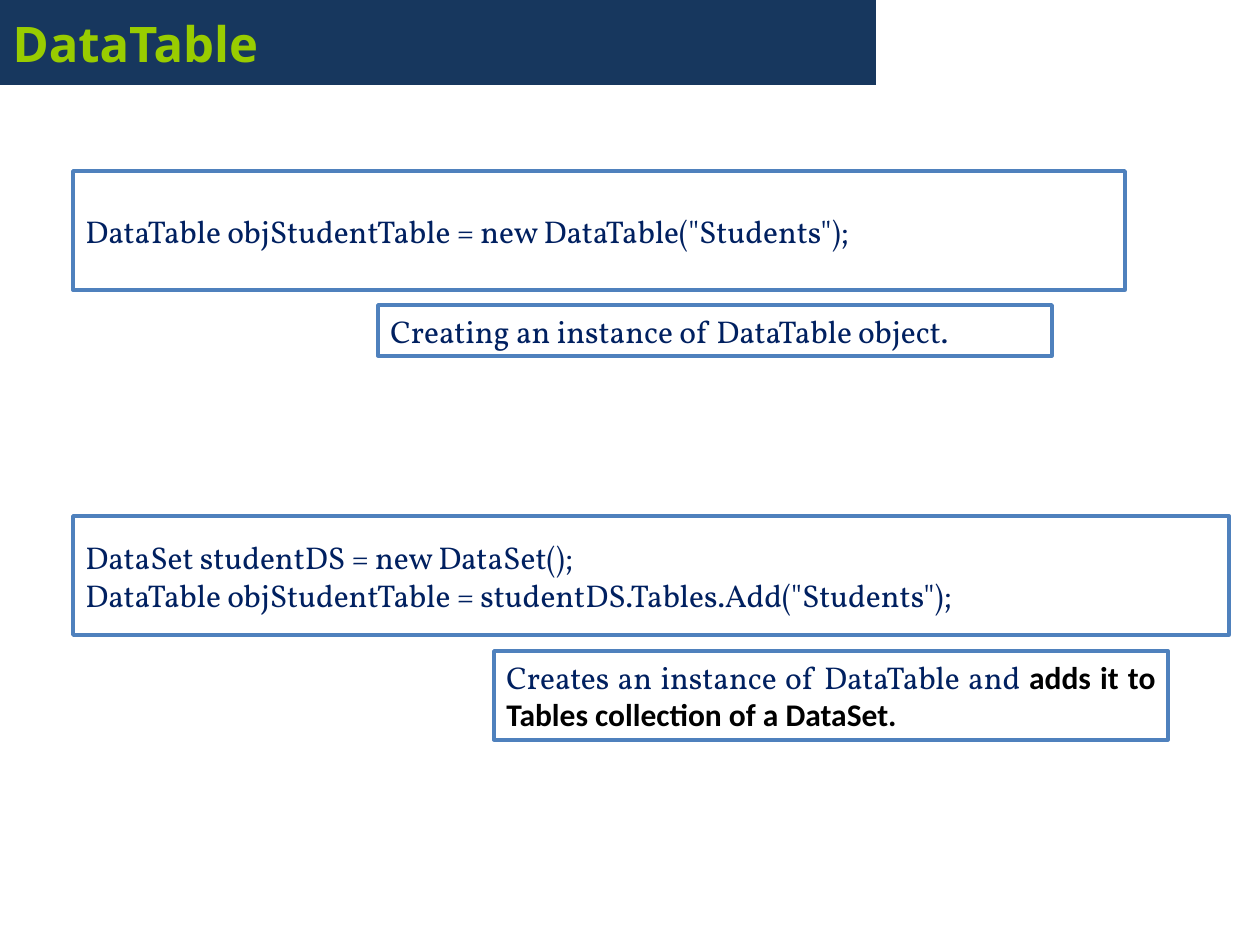
from pptx import Presentation
from pptx.dml.color import RGBColor
from pptx.enum.shapes import MSO_SHAPE
from pptx.enum.text import MSO_ANCHOR, MSO_AUTO_SIZE, PP_ALIGN
from pptx.util import Emu, Pt

RECT = MSO_SHAPE.RECTANGLE
MIDDLE = MSO_ANCHOR.MIDDLE
GROW, FIXED = MSO_AUTO_SIZE.SHAPE_TO_FIT_TEXT, MSO_AUTO_SIZE.NONE
LEFT, JUSTIFY = PP_ALIGN.LEFT, PP_ALIGN.JUSTIFY

COLORS = {
    "banner": "17375E",
    "title": "99CC00",
    "box": "FFFFFF",
    "border": "4F81BD",
    "code": "002060",
    "strong": "000000",
}
RUN_STYLES = {
    "title": ("Open Sans", 28, True),
    "code": ("Vollkorn", 18, False),
    "strong": ("Calibri", 18, True),
}


def px(n):
    return Emu(round(n * 914400 / 126))


def rgb(name):
    return RGBColor.from_string(COLORS[name])


class SlideBuilder:
    def __init__(self, prs):
        self.s = prs.slides.add_slide(prs.slide_layouts[5])

    def run(self, p, text, style):
        r = p.add_run()
        r.text = text
        r.font.name, size, r.font.bold = RUN_STYLES[style]
        r.font.size = Pt(size)
        r.font.color.rgb = rgb(style)

    def fill(self, sp, color):
        sp.fill.solid()
        sp.fill.fore_color.rgb = rgb(color)

    def title(self, text, x, y, w, h):
        sp = self.s.shapes.title
        sp.left, sp.top, sp.width, sp.height = map(px, (x, y, w, h))
        self.fill(sp, "banner")
        tf = sp.text_frame
        tf.auto_size = FIXED
        tf.vertical_anchor = MIDDLE
        p = tf.paragraphs[0]
        p.alignment = LEFT
        self.run(p, text, "title")

    def box(self, paragraphs, x, y, w, h, wrap=True, align=LEFT):
        sp = self.s.shapes.add_shape(RECT, *map(px, (x, y, w, h)))
        sp.shadow.inherit = False
        self.fill(sp, "box")
        sp.line.color.rgb = rgb("border")
        sp.line.width = Pt(2)
        tf = sp.text_frame
        tf.word_wrap = wrap
        tf.auto_size = GROW if wrap else FIXED
        tf.vertical_anchor = MIDDLE
        for i, runs in enumerate(paragraphs):
            p = tf.add_paragraph() if i else tf.paragraphs[0]
            p.alignment = align
            for text, style in runs:
                self.run(p, text, style)

    def code(self, lines, x, y, w, h):
        self.box([[(line, "code")] for line in lines], x, y, w, h, wrap=False)

    def note(self, runs, x, y, w, h, align=LEFT):
        self.box([runs], x, y, w, h, align=align)


def main():
    prs = Presentation()
    prs.slide_width, prs.slide_height = px(1260), px(945)
    slide = SlideBuilder(prs)
    slide.title("DataTable", 0, 0, 876, 85)
    slide.code(['DataTable objStudentTable = new DataTable("Students");'],
               73, 171, 1052, 119)
    slide.note([("Creating an instance of DataTable object.", "code")],
               378, 305, 674, 51)
    slide.code(["DataSet studentDS = new DataSet();",
                'DataTable objStudentTable = studentDS.Tables.Add("Students");'],
               73, 516, 1156, 119)
    slide.note([("Creates an instance of DataTable and ", "code"),
                ("adds it to Tables collection of a DataSet.", "strong")],
               494, 651, 674, 89, align=JUSTIFY)
    prs.save("out.pptx")


if __name__ == "__main__":
    main()
